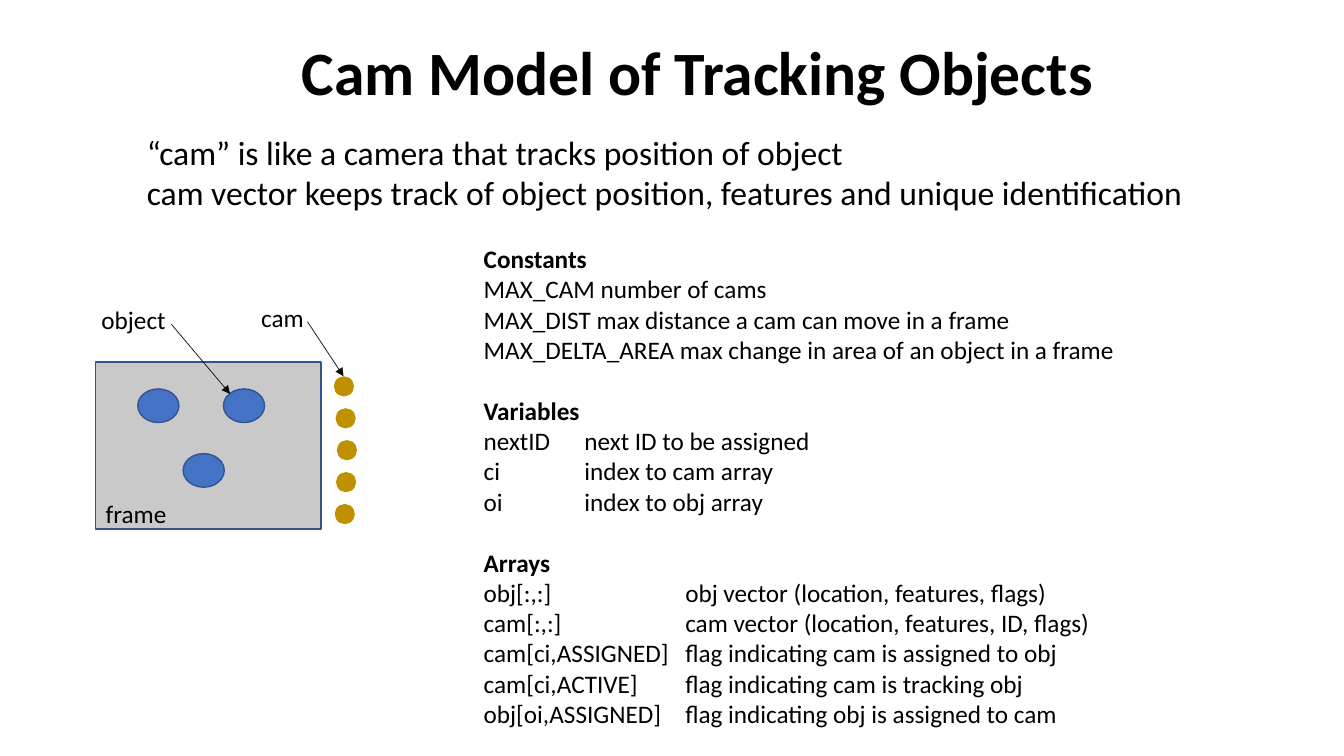
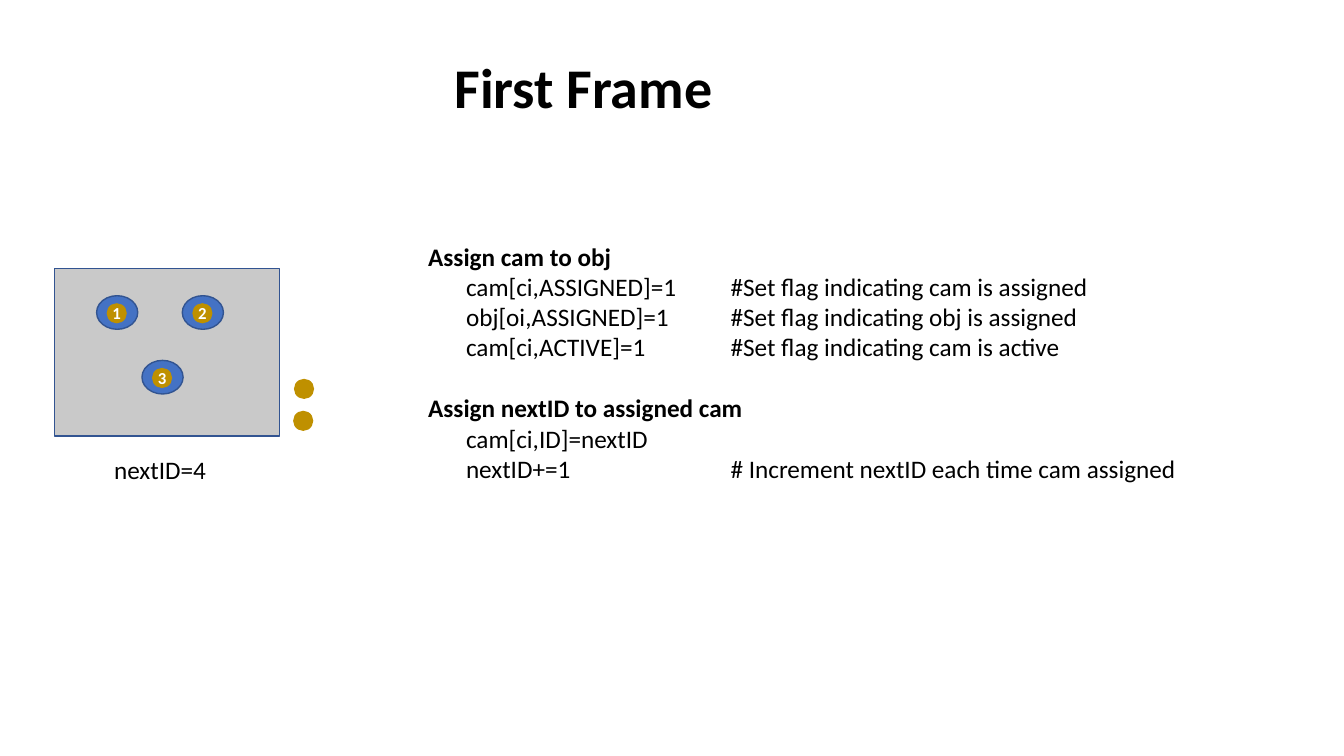
from pptx import Presentation
from pptx.dml.color import RGBColor
from pptx.enum.shapes import MSO_CONNECTOR, MSO_SHAPE
from pptx.enum.text import MSO_ANCHOR, MSO_AUTO_SIZE, PP_ALIGN
from pptx.oxml.ns import qn
from pptx.util import Emu, Inches, Pt
from lxml.etree import SubElement

BLACK = RGBColor(0x00, 0x00, 0x00)
WHITE = RGBColor(0xFF, 0xFF, 0xFF)
INK = RGBColor(0x0D, 0x0D, 0x0D)
GREY = RGBColor(0xC9, 0xC9, 0xC9)
BLUE = RGBColor(0x44, 0x72, 0xC4)
NAVY = RGBColor(0x32, 0x54, 0x91)
GOLD = RGBColor(0xBF, 0x90, 0x00)

FONT = "Calibri"
BODY_SIZE = 18
SECTION_GAP = 22  # points, one line of body text
CELL = Inches(1 / 12)  # the slide is a grid of 160 columns by 90 rows
COLUMNS, ROWS = 160, 90

FRAME_SIZE = (26.8, 19.9)
OBJECT_SIZE = (4.9, 4)
OBJECT_OFFSETS = [(5, 3.2), (15.2, 3.2), (10.4, 10.9)]
CAM_SIZE = 2.4
CAM_STEP = 3.8

CONSTANTS = [
    "MAX_CAM number of cams",
    "MAX_DIST max distance a cam can move in a frame",
    "MAX_DELTA_AREA max change in area of an object in a frame",
]
VARIABLES = [
    "nextID\tnext ID to be assigned",
    "ci\tindex to cam array",
    "oi\tindex to obj array",
]
ARRAYS = [
    "obj[:,:]\tobj vector (location, features, flags)",
    "cam[:,:]\tcam vector (location, features, ID, flags)",
    "cam[ci,ASSIGNED]\tflag indicating cam is assigned to obj",
    "cam[ci,ACTIVE]\tflag indicating cam is tracking obj",
    "obj[oi,ASSIGNED]\tflag indicating obj is assigned to cam",
]
ASSIGN_CAM = [
    "\tcam[ci,ASSIGNED]=1\t#Set flag indicating cam is assigned",
    "\tobj[oi,ASSIGNED]=1\t#Set flag indicating obj is assigned",
    "\tcam[ci,ACTIVE]=1\t#Set flag indicating cam is active",
]
ASSIGN_ID = [
    "\tcam[ci,ID]=nextID",
    "\tnextID+=1\t# Increment nextID each time cam assigned",
]


def cells(*counts):
    """Turn grid counts into lengths."""
    return [Emu(round(n * CELL)) for n in counts]


def write(p, text, size=BODY_SIZE, bold=False, color=BLACK,
          align=PP_ALIGN.LEFT, before=0, tabs=()):
    """Put one formatted run, with optional tab stops, in a paragraph."""
    p.alignment = align
    p.space_before = Pt(before)
    if tabs:
        stops = SubElement(p._p.get_or_add_pPr(), qn("a:tabLst"))
        for stop in cells(*tabs):
            SubElement(stops, qn("a:tab"), pos=str(stop), algn="l")
    r = p.add_run()
    r.text = text
    r.font.name = FONT
    r.font.size = Pt(size)
    r.font.bold = bold
    r.font.color.rgb = color


def add_title(s, text, box, size):
    """Place and format the title placeholder."""
    sp = s.shapes.title
    sp.left, sp.top, sp.width, sp.height = cells(*box)
    tf = sp.text_frame
    tf.auto_size = MSO_AUTO_SIZE.NONE
    tf.vertical_anchor = MSO_ANCHOR.TOP
    write(tf.paragraphs[0], text, size=size, bold=True)


def add_text(s, box, items):
    """Add a text box; each item is a text and its format."""
    tf = s.shapes.add_textbox(*cells(*box)).text_frame
    tf.word_wrap = True
    for i, (text, style) in enumerate(items):
        p = tf.add_paragraph() if i else tf.paragraphs[0]
        write(p, text, **style)


def add_label(s, box, *lines, **style):
    """Add a text box whose lines share one format."""
    add_text(s, box, [(line, style) for line in lines])


def add_sections(s, box, sections):
    """Add bold headings, each followed by its tabbed lines."""
    items = []
    for heading, lines, tabs in sections:
        gap = SECTION_GAP if items else 0
        items.append((heading, dict(bold=True, before=gap)))
        items += [(line, dict(tabs=tabs)) for line in lines]
    add_text(s, box, items)


def add_filled(s, kind, box, fill, line=None):
    """Add a flat shape with an optional outline."""
    sp = s.shapes.add_shape(kind, *cells(*box))
    sp.shadow.inherit = False
    sp.fill.solid()
    sp.fill.fore_color.rgb = fill
    if line is None:
        sp.line.fill.background()
    else:
        sp.line.color.rgb = line
        sp.line.width = Pt(1)
    return sp


def add_frame(s, left, top):
    """Draw the frame with its three objects; return the objects' corners."""
    add_filled(s, MSO_SHAPE.RECTANGLE, (left, top, *FRAME_SIZE), GREY, NAVY)
    corners = [(left + dx, top + dy) for dx, dy in OBJECT_OFFSETS]
    for corner in corners:
        add_filled(s, MSO_SHAPE.OVAL, (*corner, *OBJECT_SIZE), BLUE, NAVY)
    return corners


def add_cam(s, left, top, number=None):
    """Draw a cam dot, numbered when it is assigned."""
    sp = add_filled(s, MSO_SHAPE.OVAL, (left, top, CAM_SIZE, CAM_SIZE), GOLD)
    if number is not None:
        tf = sp.text_frame
        tf.margin_left = tf.margin_right = tf.margin_top = tf.margin_bottom = 0
        tf.word_wrap = False
        tf.vertical_anchor = MSO_ANCHOR.MIDDLE
        write(tf.paragraphs[0], str(number), size=12, bold=True, color=WHITE,
              align=PP_ALIGN.CENTER)


def add_free_cams(s, lefts, top):
    """Stack unassigned cams downwards at equal steps."""
    for i, left in enumerate(lefts):
        add_cam(s, left, top + i * CAM_STEP)


def add_arrow(s, start, end):
    """Draw a thin arrow from start to end."""
    c = s.shapes.add_connector(MSO_CONNECTOR.STRAIGHT, *cells(*start, *end))
    c.line.color.rgb = INK
    c.line.width = Pt(0.5)
    SubElement(c.line._get_or_add_ln(), qn("a:tailEnd"), type="triangle")
    SubElement(c._element.spPr, qn("a:effectLst"))


def build_model(s):
    """Build the slide that explains the cam model."""
    add_title(s, "Cam Model of Tracking Objects", (34.7, 3.4, 97.6, 10.1), 44)
    add_frame(s, 11.4, 43.1)
    add_free_cams(s, (39.75, 39.95, 40.1, 40, 39.85), 44.8)
    add_sections(s, (56.4, 28.4, 78.4, 61), [
        ("Constants", CONSTANTS, ()),
        ("Variables", VARIABLES, (12,)),
        ("Arrays", ARRAYS, (24,)),
    ])
    add_label(s, (16.3, 15.1, 127, 10.9),
              "“cam” is like a camera that tracks position of object",
              "cam vector keeps track of object position, features and "
              "unique identification", size=24)
    add_label(s, (11.4, 58.7, 9.8, 4.8), "frame")
    add_label(s, (10.9, 35.6, 19.3, 4.8), "object")
    add_label(s, (29.9, 35.4, 7.6, 4.8), "cam")
    add_arrow(s, (36.6, 38.3), (40.9, 44.8))
    add_arrow(s, (20.4, 38.6), (27.4, 46.9))


def build_first_frame(s):
    """Build the slide that assigns cams in the first frame."""
    add_title(s, "First Frame", (52.9, 5.6, 33.5, 9.2), 40)
    for number, (left, top) in enumerate(add_frame(s, 6.5, 32), 1):
        add_cam(s, left + 1.2, top + 0.9, number)
    add_free_cams(s, (35, 34.9), 45.1)
    add_label(s, (12.4, 53.5, 13.5, 4.8), "nextID=4")
    add_sections(s, (49.8, 28.1, 92.4, 30.2), [
        ("Assign cam to obj", ASSIGN_CAM, (4.5, 36)),
        ("Assign nextID to assigned cam", ASSIGN_ID, (4.5, 36)),
    ])


def main():
    """Build and save the presentation."""
    prs = Presentation()
    prs.slide_width, prs.slide_height = cells(COLUMNS, ROWS)
    title_only = prs.slide_layouts[5]
    for build in (build_model, build_first_frame):
        build(prs.slides.add_slide(title_only))
    prs.save("out.pptx")


main()
